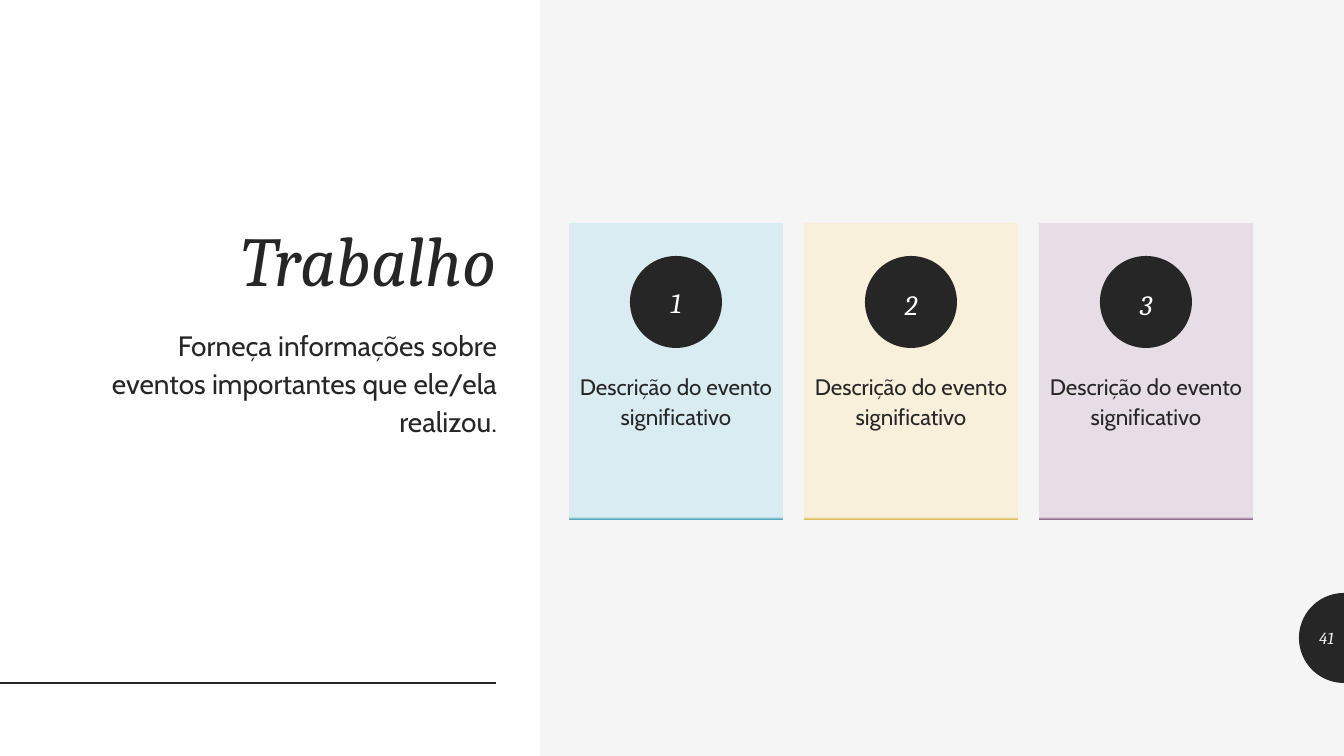
"""Build the Trabalho slide with three event cards."""
from copy import deepcopy
from dataclasses import dataclass
from math import cos, pi, sin

from pptx import Presentation
from pptx.dml.color import RGBColor as Rgb
from pptx.enum.shapes import MSO_CONNECTOR as Conn, MSO_SHAPE as Form
from pptx.enum.text import MSO_ANCHOR as Anchor, PP_ALIGN as Align
from pptx.oxml.ns import qn
from pptx.oxml.xmlchemy import OxmlElement as Node
from pptx.util import Pt

SCALE = 914400 / 100.8


@dataclass(frozen=True)
class Theme:
    """Colours, fonts and type sizes."""
    ink: str = "262626"
    white: str = "FFFFFF"
    pale: str = "F5F5F5"
    serif: str = "Cambria"
    sans: str = "Cabin"
    title: int = 50
    lead: int = 20
    small: int = 16
    page: int = 12
    cards: tuple = (("D9ECF1", "439EB7"), ("F8F0DB", "DCB64D"),
                    ("E7DDE7", "835B82"))


LOOK = Theme()


def px(size):
    """Turn px into EMU."""
    return round(size * SCALE)


def tint(fill, tone):
    """Set a solid fill."""
    fill.solid()
    fill.fore_color.rgb = Rgb.from_string(tone)


def write(shape, text, size, face, tone, align, anchor=Anchor.TOP,
          lead=1.0, pads=None):
    """Put one styled run into a shape."""
    frame = shape.text_frame
    frame.word_wrap = True
    frame.vertical_anchor = anchor
    if pads:
        (frame.margin_left, frame.margin_top,
         frame.margin_right, frame.margin_bottom) = map(px, pads)
    para = frame.paragraphs[0]
    para.alignment = align
    para.line_spacing = lead
    run = para.add_run()
    run.text = text
    font = run.font
    font.size = Pt(size)
    font.name = face
    font.italic = face == LOOK.serif
    font.color.rgb = Rgb.from_string(tone)


def label(slide, box, *args, **style):
    """Add a text box."""
    write(slide.shapes.add_textbox(*map(px, box)), *args, **style)


def block(slide, form, box, tone):
    """Add a plain filled shape."""
    shape = slide.shapes.add_shape(form, *map(px, box))
    shape.shadow.inherit = False
    shape.line.fill.background()
    tint(shape.fill, tone)
    return shape


def edge(shape, tone, rim):
    """Fade a flat fill into a thin rim at the foot."""
    fill = shape.fill
    fill.gradient()
    fill.gradient_angle = 270
    first = shape._element.spPr.find(".//" + qn("a:gs"))
    first.addnext(deepcopy(first))
    for stop, place, hue in zip(fill.gradient_stops, (0, 0.99, 1),
                                (tone, tone, rim)):
        stop.position = place
        stop.color.rgb = Rgb.from_string(hue)


def card(slide, left, mark, tone, rim, lead):
    """Add an event card with its numbered disc."""
    base = block(slide, Form.RECTANGLE, (left, 223, 214, 297), tone)
    edge(base, tone, rim)
    write(base, "Descrição do evento significativo", LOOK.small, LOOK.sans,
          LOOK.ink, Align.CENTER, lead=1.12, pads=(0, 147, 0, 0))
    disc = block(slide, Form.OVAL, (left + 61, 256, 92, 92), LOOK.ink)
    write(disc, str(mark), LOOK.lead, LOOK.serif, LOOK.white, Align.CENTER,
          Anchor.MIDDLE, lead, (0, 0, 0, 0))


def rule(slide, left, right, top):
    """Add a level line."""
    line = slide.shapes.add_connector(
        Conn.STRAIGHT, px(left), px(top), px(right), px(top))
    line.line.width = Pt(2)
    line.line.color.rgb = Rgb.from_string(LOOK.ink)
    line._element.spPr.append(Node("a:effectLst"))


def half(slide, mid, top, size, steps=48):
    """Add the left half of a disc."""
    turns = [pi * i / steps for i in range(steps + 1)]
    dots = [(px(mid - size * sin(t)), px(top - size * cos(t))) for t in turns]
    pen = slide.shapes.build_freeform(*dots[0], scale=1.0)
    pen.add_line_segments(dots[1:], close=True)
    shape = pen.convert_to_shape()
    shape.shadow.inherit = False
    shape.line.fill.background()
    tint(shape.fill, LOOK.ink)


def main():
    """Draw and save the slide."""
    deck = Presentation()
    deck.slide_width, deck.slide_height = px(1344), px(756)
    slide = deck.slides.add_slide(deck.slide_layouts[6])
    tint(slide.background.fill, LOOK.pale)
    half(slide, 1344, 638, 45)
    block(slide, Form.RECTANGLE, (0, 0, 540, 756), LOOK.white)
    rule(slide, 0, 496, 683)
    label(slide, (84, 61, 422, 246), "Trabalho", LOOK.title, LOOK.serif,
          LOOK.ink, Align.RIGHT, Anchor.BOTTOM, 0.9)
    for i, (tone, rim) in enumerate(LOOK.cards):
        card(slide, 569 + 235 * i, i + 1, tone, rim, 1.12 if i else 1.0)
    label(slide, (84, 320, 423, 314),
          "Forneça informações sobre eventos importantes que ele/ela realizou.",
          LOOK.lead, LOOK.sans, LOOK.ink, Align.RIGHT, lead=1.12)
    label(slide, (1299, 618, 45, 40), "41", LOOK.page, LOOK.serif,
          LOOK.pale, Align.RIGHT, Anchor.MIDDLE)
    deck.save("out.pptx")


if __name__ == "__main__":
    main()
